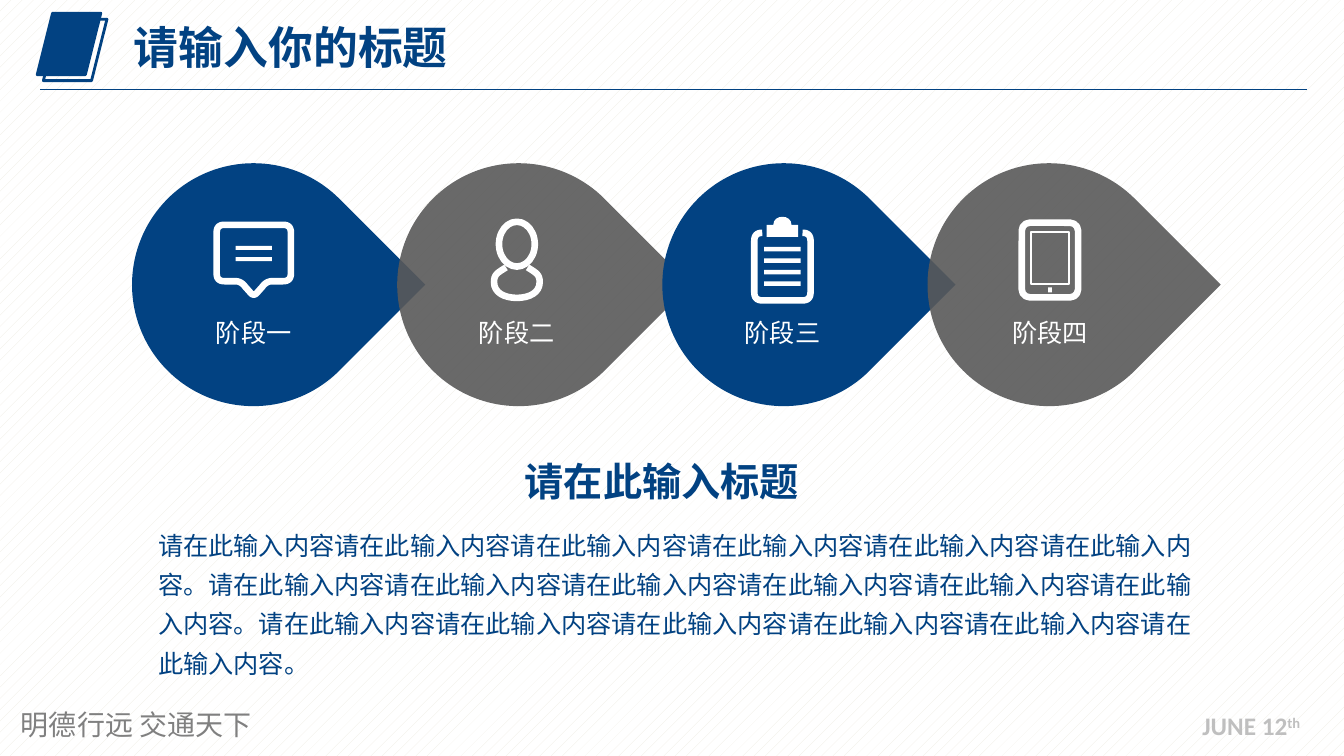
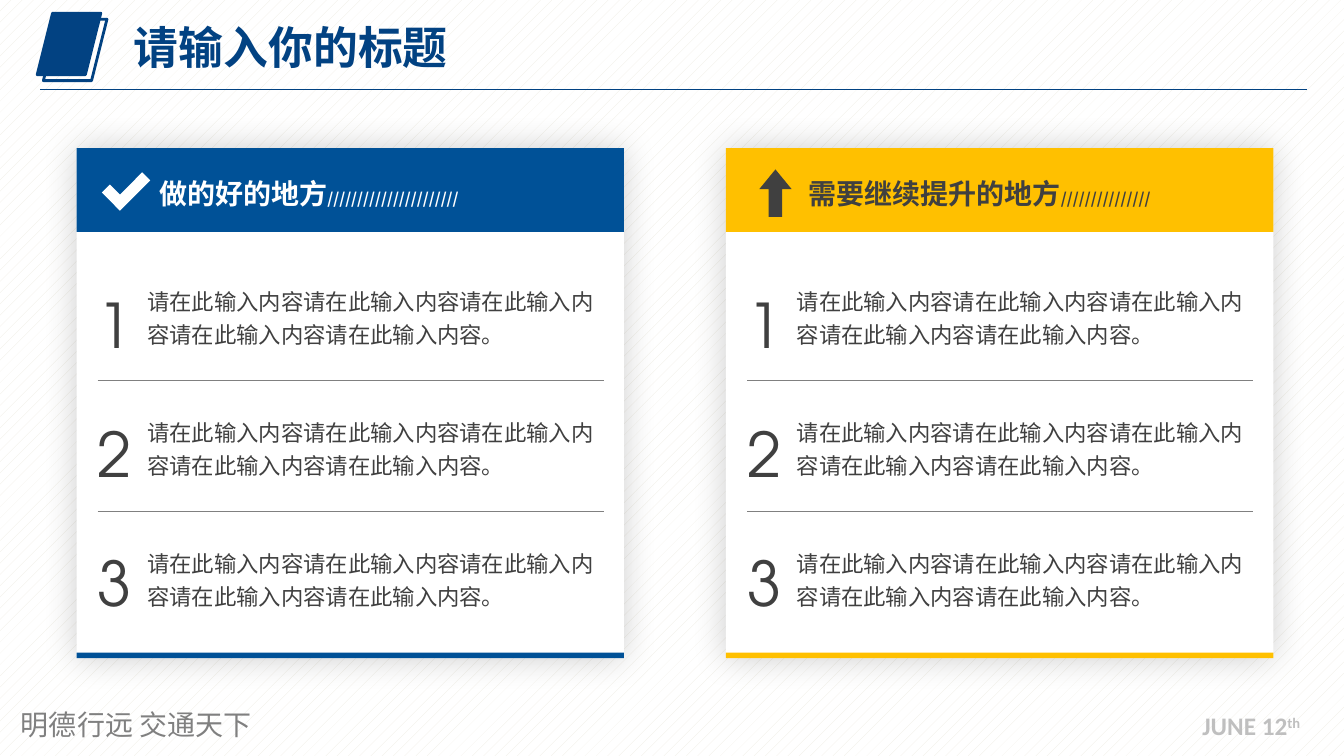
import math

import pptx
import pptx.util
import pptx.dml.color
import pptx.enum.dml
import pptx.enum.shapes
import pptx.enum.text
import pptx.oxml
import pptx.oxml.ns
from lxml import etree

Pt = pptx.util.Pt
Kind = pptx.enum.shapes.MSO_SHAPE
Align = pptx.enum.text.PP_ALIGN
Anchor = pptx.enum.text.MSO_ANCHOR
qn = pptx.oxml.ns.qn

NAVY, BLUE, GOLD = "024282", "005197", "FFC000"
GREY, DARK, WHITE = "595959", "404040", "FFFFFF"
HEAD = "请输入你的标题"
PHRASE = "请在此输入内容"


def tint(color, code):
    color.rgb = pptx.dml.color.RGBColor.from_string(code)


def fade(node, share):
    """Set the opacity, in percent, of the first colour in an XML node."""
    color = next(node.iter(qn("a:srgbClr")))
    etree.SubElement(color, qn("a:alpha")).set("val", str(share * 1000))


def trace(path):
    """Flatten a path; a step of two or three points is a Bezier curve."""
    points = [path[0]]
    for step in path[1:]:
        knots = [points[-1]] + list(zip(step[::2], step[1::2]))
        deg = len(knots) - 1
        for n in range(1, 9) if deg > 1 else [8]:
            t = n / 8
            mix = [math.comb(deg, k) * t**k * (1 - t)**(deg - k)
                   for k in range(deg + 1)]
            points.append(tuple(sum(m * p[a] for m, p in zip(mix, knots))
                                for a in (0, 1)))
    return points


class Deck:
    font = "Noto Sans CJK SC"

    def __init__(self):
        self.show = pptx.Presentation()
        self.show.slide_width, self.show.slide_height = Pt(960), Pt(540)

    def page(self):
        """Start a slide with the shared background, title and footer."""
        self.slide = self.show.slides.add_slide(self.show.slide_layouts[6])
        fill = self.slide.background.fill
        fill.patterned()
        fill.pattern = pptx.enum.dml.MSO_PATTERN.PERCENT_10
        tint(fill.fore_color, "EEECE1")
        tint(fill.back_color, WHITE)
        self.ungroup()
        self.text(["明德行远 交通天下"], 7.9, 501.8, 283.7, 31.7, 20,
                  "808080", font="Noto Sans CJK JP")
        self.group()
        for x, y, fill in ((26.6, 9.4, NAVY), (31, 13.7, None)):
            self.shape(Kind.PARALLELOGRAM, x, y, 45.4, 43.9, fill, NAVY, 2)
        self.ungroup()
        self.rule(28.8, 64.1, 905, NAVY, 0.75)
        self.text([HEAD], 88.6, 15.1, 396.7, 48.2, 32, NAVY,
                  bold=True, space=0.9)
        date = self.text(["JUNE 12", "th"], 851.8, 504, 86.4, 28.8, 18,
                         "BFBFBF", bold=True, font="Calibri", wrap=False)
        date.runs[1]._r.get_or_add_rPr().set("baseline", "30000")

    def group(self):
        self.shapes = self.slide.shapes.add_group_shape().shapes

    def ungroup(self):
        self.shapes = self.slide.shapes

    def style(self, item, fill, line, width):
        item.shadow.inherit = False
        if fill:
            item.fill.solid()
            tint(item.fill.fore_color, fill)
        else:
            item.fill.background()
        if line:
            tint(item.line.color, line)
            item.line.width = Pt(width)
        else:
            item.line.fill.background()
        return item

    def shape(self, kind, x, y, w, h, fill=None, line=None, width=1):
        item = self.shapes.add_shape(kind, Pt(x), Pt(y), Pt(w), Pt(h))
        return self.style(item, fill, line, width)

    def rect(self, x, y, w, h, fill):
        return self.shape(Kind.RECTANGLE, x, y, w, h, fill)

    def draw(self, mid, path, fill=None, line=None, width=1, close=True):
        """Draw an outline whose x values are counted from mid."""
        points = [(Pt(mid + x), Pt(y)) for x, y in trace(path)]
        pen = self.shapes.build_freeform(*points[0], scale=1.0)
        pen.add_line_segments(points[1:], close=close)
        return self.style(pen.convert_to_shape(), fill, line, width)

    def rule(self, x, y, w, code, width):
        line = self.shapes.add_connector(
            pptx.enum.shapes.MSO_CONNECTOR.STRAIGHT,
            Pt(x), Pt(y), Pt(x + w), Pt(y))
        tint(line.line.color, code)
        line.line.width = Pt(width)
        etree.SubElement(line._element.spPr, qn("a:effectLst"))

    def glow(self, item):
        """Put a soft shadow all round a shape."""
        effect = item._element.spPr.find(qn("a:effectLst"))
        shade = etree.SubElement(effect, qn("a:outerShdw"))
        shade.set("blurRad", str(Pt(25)))
        shade.set("algn", "ctr")
        shade.set("rotWithShape", "0")
        etree.SubElement(shade, qn("a:srgbClr")).set("val", "000000")
        fade(shade, 20)

    def text(self, runs, x, y, w, h, size, code, bold=False, space=None,
             align=None, font=None, wrap=True, anchor=Anchor.TOP):
        box = self.shapes.add_textbox(Pt(x), Pt(y), Pt(w), Pt(h))
        frame = box.text_frame
        frame.word_wrap = wrap
        frame.vertical_anchor = anchor
        para = frame.paragraphs[0]
        for part in runs:
            para.add_run().text = part
        para.alignment = align
        para.line_spacing = space
        look = para.font
        look.size, look.bold, look.name = Pt(size), bold, font or self.font
        tint(look.color, code)
        east = etree.SubElement(look._element, qn("a:ea"))
        east.set("typeface", look.name)
        return para


def chat(deck, mid):
    deck.draw(mid, [
        (-21, 160.6), (21, 160.6), (26.5, 160.6, 26.5, 166), (26.5, 195.5),
        (26.5, 200.9, 21, 200.9), (13, 200.9), (9, 200.9, 6, 205),
        (2, 209.5), (0, 211.5, -2, 209.5), (-6, 205),
        (-9, 200.9, -13, 200.9), (-21, 200.9),
        (-26.5, 200.9, -26.5, 195.5), (-26.5, 166),
        (-26.5, 160.6, -21, 160.6)], line=WHITE, width=4.7)
    for y in (175.7, 183.6):
        deck.rect(mid - 13, y, 26, 2.9, WHITE)


def person(deck, mid):
    deck.shape(Kind.OVAL, mid - 12.8, 158.4, 25.6, 32, None, WHITE, 4.7)
    deck.draw(mid, [
        (-7.7, 191), (-14, 195, -16.3, 196, -16.3, 201.6),
        (-16.3, 209, -9, 212.8, 0, 212.8), (9, 212.8, 16.3, 209, 16.3, 201.6),
        (16.3, 196, 14, 195, 7.7, 191)], line=WHITE, width=4.7, close=False)


def board(deck, mid):
    deck.draw(mid, [
        (-14.4, 166.3), (-20.1, 166.3, -20.1, 172), (-20.1, 208.8),
        (-20.1, 214.6, -14.4, 214.6), (14.4, 214.6),
        (20.1, 214.6, 20.1, 208.8), (20.1, 172),
        (20.1, 166.3, 14.4, 166.3)], line=WHITE, width=4.7, close=False)
    deck.draw(mid, [
        (-11.2, 169.2), (-11.2, 160.6), (-6.5, 160.6),
        (-6.5, 152.9, 6.5, 152.9, 6.5, 160.6), (11.2, 160.6),
        (11.2, 169.2)], WHITE)
    for row in range(4):
        deck.rect(mid - 13, 176.4 + 8.2 * row, 26, 3.3, WHITE)


def tablet(deck, mid):
    case = deck.shape(Kind.ROUNDED_RECTANGLE, mid - 20.1, 159.1, 40.2, 53.3,
                      None, WHITE, 4.7)
    case.adjustments[0] = 0.14
    deck.shape(Kind.RECTANGLE, mid - 13.6, 165.7, 27.2, 37.4,
               None, WHITE, 1.6)
    deck.rect(mid - 1.4, 205.2, 2.8, 3.6, WHITE)


def stages(deck):
    deck.page()
    steps = (("阶段一", chat, 181.3), ("阶段二", person, 369.2),
             ("阶段三", board, 558.9), ("阶段四", tablet, 750))
    for n, (name, icon, mid) in enumerate(steps):
        deck.group()
        drop = deck.shape(Kind.TEAR, 94.3 + 189.4 * n, 116.6, 173.5, 173.5,
                          GREY if n % 2 else NAVY)
        drop.rotation = 45
        if n % 2:
            fade(drop._element.spPr, 90)
        icon(deck, mid)
        deck.text([name], mid - 61.6, 223.2, 123.1, 28.8, 18, WHITE,
                  align=Align.CENTER)
    deck.ungroup()
    deck.text([(PHRASE * 6 + "。") * 3], 105.8, 368.6, 769.7, 118.1, 18,
              NAVY, space=1.3)
    deck.text(["请在此输入标题"], 326.9, 323.3, 291.6, 41, 28, NAVY,
              bold=True, align=Align.CENTER)


def tick(deck, left):
    deck.draw(left, [(46.8, 123.1), (31, 139), (23.8, 131.8), (18, 137.5),
                     (31, 150.5), (52.6, 128.9)], WHITE)


def arrow(deck, left):
    item = deck.shape(Kind.UP_ARROW, left + 23.8, 121, 23, 34, DARK)
    item.adjustments[0], item.adjustments[1] = 0.42, 0.61


def card(deck, left, name, dashes, icon, band, ink):
    top, wide, high = 105.8, 391, 364.3
    deck.glow(deck.rect(left, top, wide, high, WHITE))
    deck.rect(left, top, wide, 59.8, band)
    deck.rect(left, top + high - 3.9, wide, 3.9, band)
    icon(deck, left)
    head = deck.text([name, "/" * dashes], left + 51.8, 118.8, 339.1, 33.8,
                     20, ink, bold=True, space=1.2, align=Align.JUSTIFY,
                     anchor=Anchor.MIDDLE)
    head.runs[1].font.size = Pt(11)
    for n in range(3):
        deck.text([PHRASE * 5 + "。"], left + 43.4, 198.7 + 93.6 * n,
                  334.8, 51.8, 16, DARK, space=1.2)
        deck.text([str(n + 1)], left + 8, 190.8 + 92.2 * n, 35.3, 65.5, 44,
                  DARK, space=1.2, font="TeX Gyre Adventor")
        if n:
            deck.rule(left + 15, 177.8 + 93.6 * n, 361.4, "808080", 0.5)


def review(deck):
    deck.page()
    card(deck, 54.7, "做的好的地方", 22, tick, BLUE, WHITE)
    card(deck, 518.6, "需要继续提升的地方", 15, arrow, GOLD, DARK)


def main():
    deck = Deck()
    stages(deck)
    review(deck)
    deck.show.save("out.pptx")


if __name__ == "__main__":
    main()
